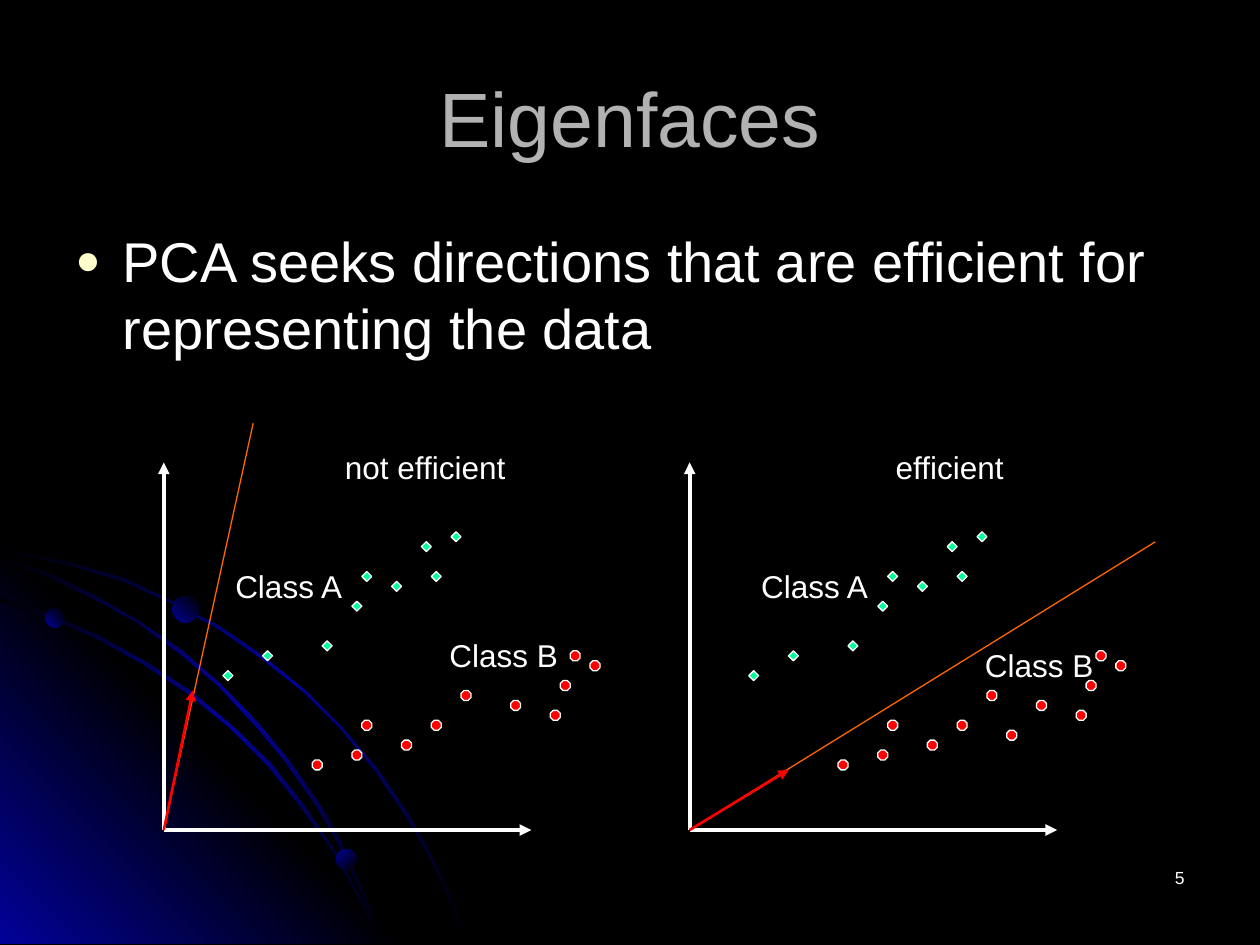
from copy import deepcopy
from dataclasses import dataclass

from lxml.etree import SubElement
from pptx import Presentation
from pptx.dml.color import RGBColor
from pptx.enum.shapes import MSO_CONNECTOR, MSO_SHAPE
from pptx.enum.text import MSO_ANCHOR, MSO_AUTO_SIZE, PP_ALIGN
from pptx.oxml.ns import qn
from pptx.util import Pt


@dataclass(frozen=True)
class Theme:
    font: str = "Arial"
    black: str = "000000"
    white: str = "FFFFFF"
    blue: str = "010199"
    heading: str = "B2B2B2"
    bullet: str = "FFFFCC"
    class_a: str = "00FF99"
    class_b: str = "FF0000"
    direction: str = "FF6600"
    vector: str = "FF0000"
    title_size: int = 44
    body_size: int = 32
    label_size: int = 18
    number_size: int = 10


THEME = Theme()
STEP = 5.67  # grid of the scatter points, also the marker size
GRID_LEFT, GRID_TOP = 127.4, 303.9
ORIGIN_X, ORIGIN_Y = 93.6, 474.3
AXIS_LENGTH = 210

# Scatter points in grid steps
CLASS_A = [(0, 14), (4, 12), (10, 11), (13, 7), (14, 4), (17, 5), (20, 1), (21, 4), (23, 0)]
CLASS_B = [(9, 23), (13, 22), (14, 19), (18, 21), (21, 19), (24, 16), (29, 17),
           (33, 18), (34, 15), (35, 12), (37, 13)]

PLOTS = [
    {"shift": 0, "title": ("not efficient", 190, 252.7, 106.6), "class_b": (249.8, 360),
     "extra": [], "line_end": (144.7, 241.9), "vector_end": (110.2, 394.6)},
    {"shift": 300.5, "title": ("efficient", 504.7, 252.7, 76.3), "class_b": (555.8, 365.8),
     "extra": [(26, 20)], "line_end": (660.2, 309.6), "vector_end": (450.7, 439.9)},
]

RIBBONS = [
    [(41, 321.8), (20.2, 317.5), (0, 313.2), (0, 315.4), (20.2, 319), (40.3, 323.3),
     (69.8, 331.9), (97.2, 344.2), (124.6, 359.3), (149.8, 376.6), (173.5, 395.3),
     (195.1, 416.9), (214.6, 440.6), (232.6, 467.3), (242.6, 484.6), (252, 502.6),
     (259.2, 520.6), (266.4, 539.3), (267.8, 539.3), (260.6, 520.6), (253.4, 502.6),
     (244.1, 484.6), (234, 466.6), (216, 439.9), (195.8, 416.2), (174.2, 394.6),
     (150.5, 375.1), (125.3, 357.8), (97.9, 343.4), (70.6, 330.5)],
    [(205.2, 514.1), (211.7, 527), (216.7, 539.3), (218.2, 539.3), (213.1, 525.6),
     (205.9, 512.6), (191.5, 486.7), (174.2, 460.8), (154.8, 436.3), (132.5, 414.7),
     (109.4, 395.3), (84.2, 378.7), (56.9, 363.6), (29.5, 351.4), (0, 342), (0, 343.4),
     (28.1, 352.8), (55.4, 365), (82.8, 380.2), (108, 396.7), (131.8, 416.2),
     (153.4, 437.8), (172.8, 462.2), (190.8, 487.4)],
    [(0, 318.2), (0, 319.7), (25.9, 329), (53.3, 342), (78.5, 355.7), (102.2, 373),
     (124.6, 391.7), (145.4, 414), (163.4, 435.6), (181.4, 461.5), (192.2, 480.2),
     (201.6, 499.7), (210.2, 519.8), (216.7, 539.3), (218.2, 539.3), (211.7, 518.4),
     (203, 499), (193.7, 478.8), (182.9, 460.1), (164.9, 434.2), (146.9, 412.6),
     (126, 391), (103.7, 371.5), (79.2, 355), (54.7, 340.6), (28.1, 327.6)],
]
CORNER = [(231.8, 539.3), (0, 539.3), (0, 307.4)]
BEADS = [(25.9, 347.8, 10.8, 45), (192.2, 485.3, 11.5, 315), (98.6, 340.6, 15.1, 45)]


def rgb(color):
    return RGBColor.from_string(color)


def apply_format(target, values):
    for name, value in values.items():
        setattr(target, name, value)


def fill_gradient(shape, colors, angle):
    """Spread two or three colours evenly; the angle runs counter-clockwise."""
    shape.shadow.inherit = False
    shape.line.fill.background()
    shape.fill.gradient()
    shape.fill.gradient_angle = angle
    if len(colors) == 3:
        first_stop = shape.element.spPr.find(".//" + qn("a:gs"))
        middle_stop = deepcopy(first_stop)
        middle_stop.set("pos", "50000")
        first_stop.addnext(middle_stop)
    for stop, color in zip(shape.fill.gradient_stops, colors):
        stop.color.rgb = rgb(color)


def add_outline(slide, points, colors, angle):
    corners = [(Pt(x), Pt(y)) for x, y in points]
    builder = slide.shapes.build_freeform(*corners[0], scale=1.0)
    builder.add_line_segments(corners[1:], close=True)
    fill_gradient(builder.convert_to_shape(), colors, angle)


def add_backdrop(slide):
    glow = [THEME.black, THEME.blue, THEME.black]
    add_outline(slide, RIBBONS[0], glow, 315)
    add_outline(slide, CORNER, [THEME.blue, THEME.black, THEME.blue], 45)
    for ribbon in RIBBONS[1:]:
        add_outline(slide, ribbon, glow, 315)
    for left, top, size, angle in BEADS:
        bead = slide.shapes.add_shape(MSO_SHAPE.OVAL, Pt(left), Pt(top), Pt(size), Pt(size))
        fill_gradient(bead, [THEME.blue, THEME.black], angle)


def add_text(slide, text, box, size, color=THEME.white, frame_format=None, paragraph_format=None):
    shape = slide.shapes.add_textbox(*map(Pt, box))
    frame = shape.text_frame
    apply_format(frame, {"word_wrap": True, **(frame_format or {})})
    paragraph = frame.paragraphs[0]
    apply_format(paragraph, paragraph_format or {})
    run = paragraph.add_run()
    run.text = text
    apply_format(run.font, {"name": THEME.font, "size": Pt(size)})
    run.font.color.rgb = rgb(color)
    return paragraph


def add_label(slide, text, left, top, width):
    add_text(slide, text, (left, top, width, 28.8), THEME.label_size,
             frame_format={"word_wrap": False, "auto_size": MSO_AUTO_SIZE.SHAPE_TO_FIT_TEXT})


def add_bullet(paragraph):
    properties = paragraph._p.get_or_add_pPr()
    apply_format_values = {"marL": Pt(27), "indent": Pt(-27)}
    for name, value in apply_format_values.items():
        properties.set(name, str(value))
    color = SubElement(properties, qn("a:buClr"))
    SubElement(color, qn("a:srgbClr"), val=THEME.bullet)
    SubElement(properties, qn("a:buSzPct"), val="75000")
    SubElement(properties, qn("a:buFont"), typeface=THEME.font)
    SubElement(properties, qn("a:buChar"), char="●")


def add_line(slide, start, end, color, width, arrow=True):
    connector = slide.shapes.add_connector(MSO_CONNECTOR.STRAIGHT, *map(Pt, (*start, *end)))
    connector.line.color.rgb = rgb(color)
    connector.line.width = Pt(width)
    if arrow:
        SubElement(connector.line._get_or_add_ln(), qn("a:tailEnd"), type="triangle")
    SubElement(connector._element.spPr, qn("a:effectLst"))


def add_markers(slide, points, kind, color, shift):
    for column, row in points:
        marker = slide.shapes.add_shape(
            kind, Pt(GRID_LEFT + shift + column * STEP), Pt(GRID_TOP + row * STEP),
            Pt(STEP), Pt(STEP))
        marker.shadow.inherit = False
        marker.fill.solid()
        marker.fill.fore_color.rgb = rgb(color)
        marker.line.color.rgb = rgb(THEME.white)
        marker.line.width = Pt(0.75)


def add_plot(slide, plot):
    shift = plot["shift"]
    origin = (ORIGIN_X + shift, ORIGIN_Y)
    for end in ((origin[0], ORIGIN_Y - AXIS_LENGTH), (origin[0] + AXIS_LENGTH, ORIGIN_Y)):
        add_line(slide, origin, end, THEME.white, 2.25)
    add_markers(slide, CLASS_A, MSO_SHAPE.DIAMOND, THEME.class_a, shift)
    add_markers(slide, CLASS_B + plot["extra"], MSO_SHAPE.OCTAGON, THEME.class_b, shift)
    add_line(slide, origin, plot["line_end"], THEME.direction, 0.75, arrow=False)
    add_line(slide, origin, plot["vector_end"], THEME.vector, 1.5)
    add_label(slide, *plot["title"])
    add_label(slide, "Class A", GRID_LEFT + shift, 320.4, 76.3)
    add_label(slide, "Class B", *plot["class_b"], 76.3)


def main():
    presentation = Presentation()
    apply_format(presentation, {"slide_width": Pt(720), "slide_height": Pt(540)})
    slide = presentation.slides.add_slide(presentation.slide_layouts[6])
    slide.background.fill.solid()
    slide.background.fill.fore_color.rgb = rgb(THEME.black)
    add_backdrop(slide)
    add_text(slide, "5", (516, 492, 168, 36), THEME.number_size,
             paragraph_format={"alignment": PP_ALIGN.RIGHT})
    add_text(slide, "Eigenfaces", (36, 21.6, 648, 90), THEME.title_size, THEME.heading,
             {"vertical_anchor": MSO_ANCHOR.MIDDLE}, {"alignment": PP_ALIGN.CENTER})
    body = add_text(slide, "PCA seeks directions that are efficient for representing the data",
                    (36, 126, 648, 93), THEME.body_size,
                    paragraph_format={"space_before": Pt(8)})
    add_bullet(body)
    for plot in PLOTS:
        add_plot(slide, plot)
    presentation.save("out.pptx")


if __name__ == "__main__":
    main()
